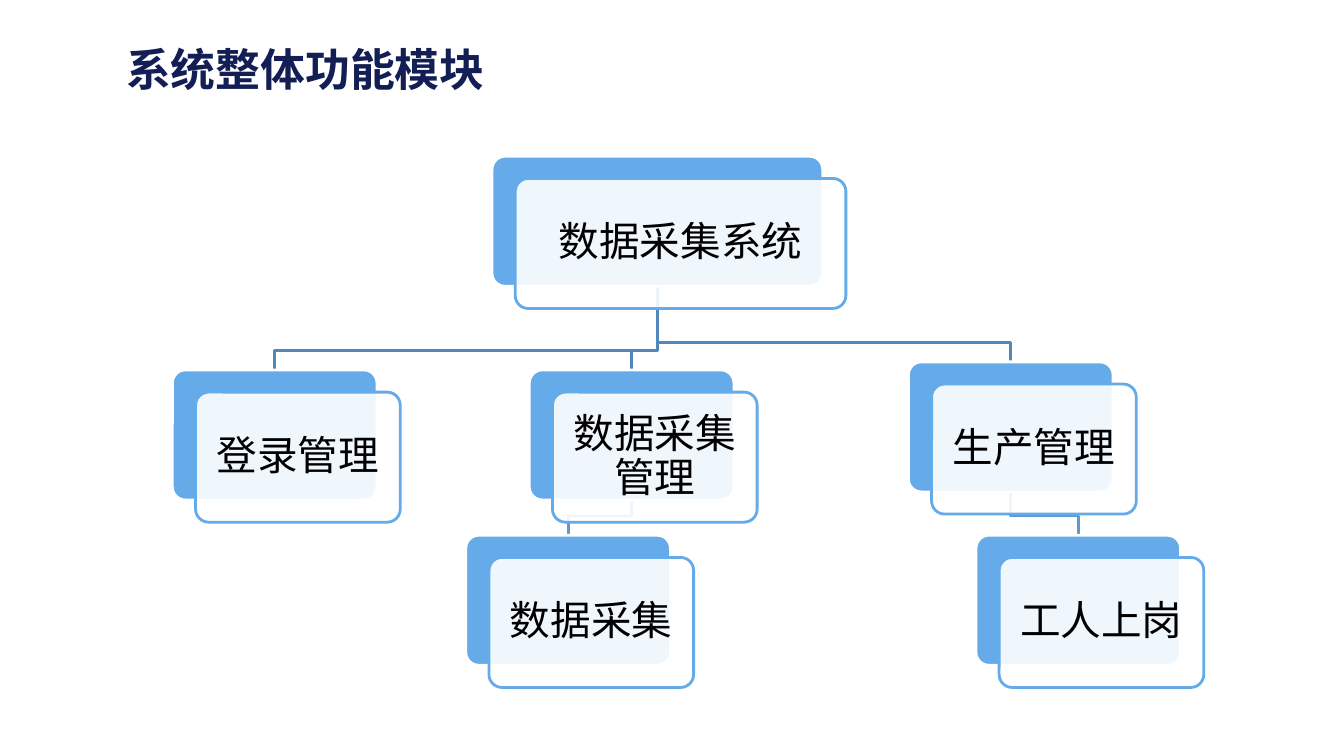
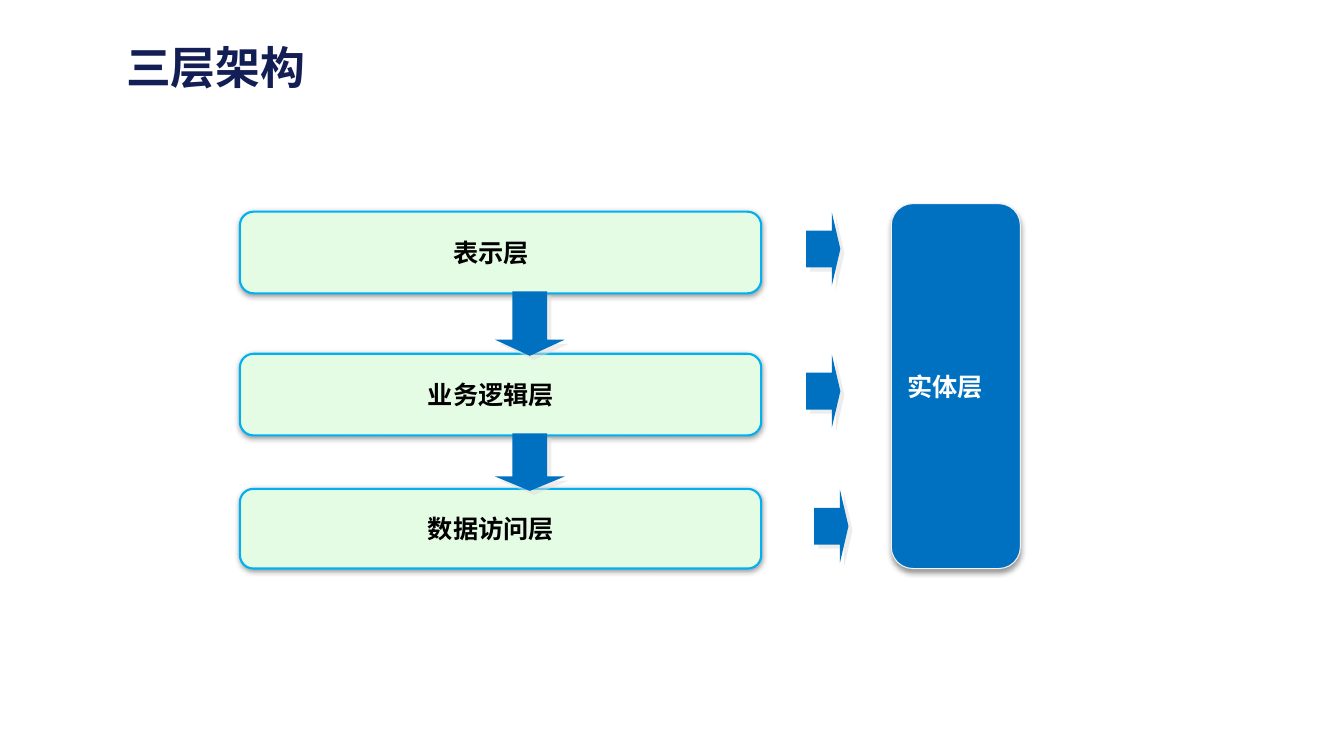
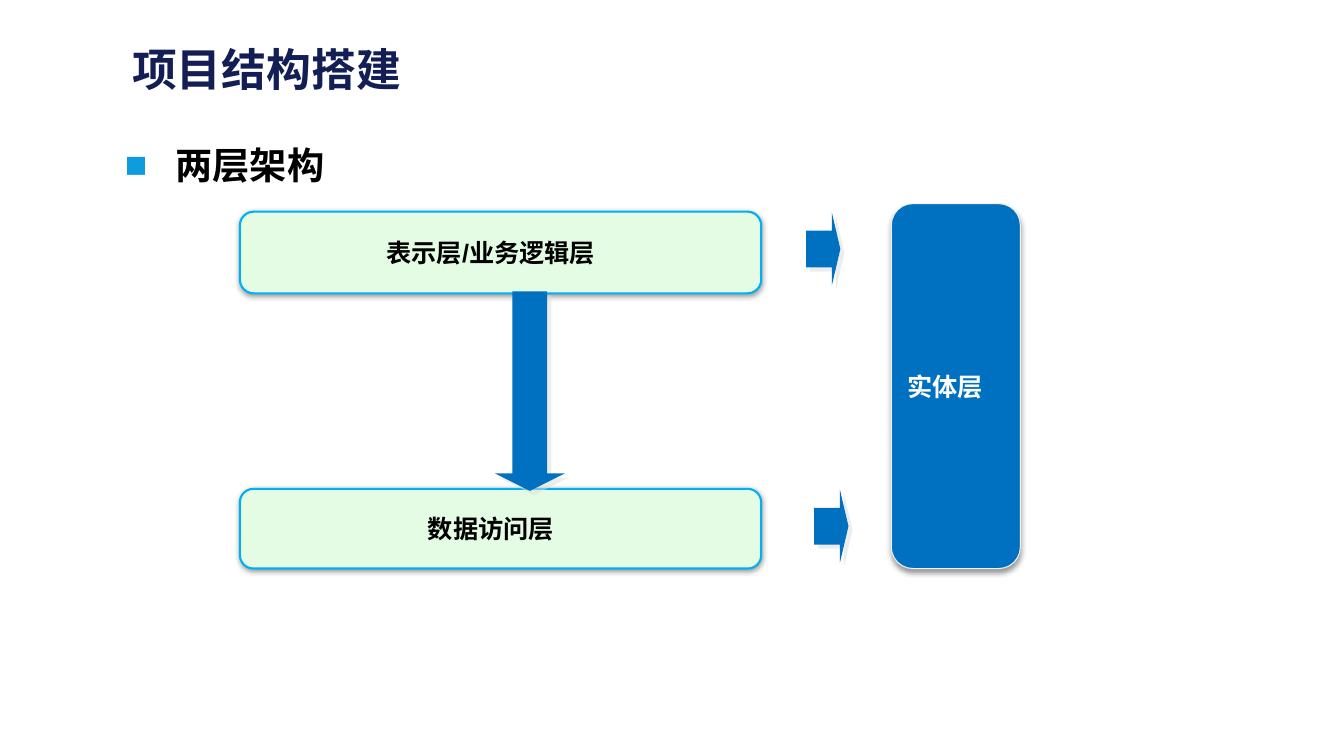
from dataclasses import dataclass
from itertools import pairwise

from lxml import etree
from pptx import Presentation
from pptx import util as u
from pptx.dml.color import RGBColor
from pptx.enum import shapes, text
from pptx.oxml import ns

I = u.Inches
SHAPE = shapes.MSO_SHAPE


@dataclass(frozen=True)
class Theme:
    # Colours
    title: str = "121E54"
    black: str = "000000"
    white: str = "FFFFFF"
    node: str = "65AAE9"
    trunk: str = "5188BB"
    branch: str = "5C9AD3"
    layer: str = "E4FCE4"
    layer_line: str = "00B0F0"
    entity: str = "0070C0"
    entity_line: str = "F2F2F2"
    bullet: str = "0E9CDE"
    arrow_shadow: str = "DDDDDD"
    # Fonts and sizes
    latin: str = "Arial"
    cjk: str = "Noto Sans CJK SC"
    title_size: float = 32
    node_size: float = 29
    body_size: float = 26.6
    layer_size: float = 18


def add_xml(parent, tag, **attrs):
    return etree.SubElement(parent, ns.qn(tag), attrs)


class Deck:
    """Holds the theme and the slide being built."""

    def __init__(self, theme):
        self.t = theme
        self.prs = Presentation()
        self.prs.slide_width, self.prs.slide_height = I(13.33), I(7.5)
        self.s = None

    def slide(self, title, x, y, w, h):
        self.s = self.prs.slides.add_slide(self.prs.slide_layouts[5])
        sp = self.s.shapes.title
        sp.left, sp.top, sp.width, sp.height = I(x), I(y), I(w), I(h)
        p = self.label(sp, title, self.t.title_size, self.t.title,
                       bold=True, font=self.t.cjk)
        p.alignment = text.PP_ALIGN.LEFT

    def label(self, sp, words, size, color, bold=False, font=None):
        tf = sp.text_frame
        tf.word_wrap = True
        tf.vertical_anchor = text.MSO_ANCHOR.MIDDLE
        p = tf.paragraphs[0]
        p.text = words
        r = p.runs[0]
        r.font.name = font or self.t.latin
        r.font.size = u.Pt(size)
        r.font.bold = bold
        r.font.color.rgb = RGBColor.from_string(color)
        add_xml(r.font._element, "a:ea", typeface=self.t.cjk)
        return p

    def hang(self, p, indent):
        pPr = p._p.get_or_add_pPr()
        pPr.set("marL", str(I(indent)))
        pPr.set("indent", str(-I(indent)))
        return pPr

    def shape(self, kind, x, y, w, h, fill, line=None, width=0, adj=None):
        sp = self.s.shapes.add_shape(kind, I(x), I(y), I(w), I(h))
        sp.shadow.inherit = False
        sp.fill.solid()
        sp.fill.fore_color.rgb = RGBColor.from_string(fill)
        if line:
            sp.line.color.rgb = RGBColor.from_string(line)
            sp.line.width = u.Pt(width)
        else:
            sp.line.fill.background()
        if adj:
            sp.adjustments[0] = adj
        return sp

    def shadow(self, sp, color, alpha, blur, dist, angle):
        effects = sp._element.spPr.find(ns.qn("a:effectLst"))
        outer = add_xml(effects, "a:outerShdw", blurRad=str(u.Pt(blur)),
                        dist=str(u.Pt(dist)), dir=str(angle * 60000),
                        algn="ctr", rotWithShape="0")
        clr = add_xml(outer, "a:srgbClr", val=color)
        add_xml(clr, "a:alpha", val=str(alpha * 1000))

    # Module tree
    def link(self, points, color):
        (x, y), *rest = [(I(a), I(b)) for a, b in points]
        builder = self.s.shapes.build_freeform(x, y)
        builder.add_line_segments(rest, close=False)
        sp = builder.convert_to_shape()
        sp.shadow.inherit = False
        sp.fill.background()
        sp.line.color.rgb = RGBColor.from_string(color)
        sp.line.width = u.Pt(2)

    def node(self, words, x, y, w, h):
        t = self.t
        self.shape(SHAPE.ROUNDED_RECTANGLE, x, y, w, h, t.node, t.white, 2, 0.1)
        card = self.shape(SHAPE.ROUNDED_RECTANGLE, x + 0.23, y + 0.22, w, h,
                          t.white, t.node, 2, 0.1)
        clr = card._element.spPr.find(ns.qn("a:solidFill"))[0]
        add_xml(clr, "a:alpha", val="90000")
        p = self.label(card, words, t.node_size, t.black)
        p.alignment = text.PP_ALIGN.CENTER
        p.line_spacing = 0.9
        p.space_after = u.Pt(10)
        tf = card.text_frame
        tf.margin_left = tf.margin_right = I(0.12)
        tf.margin_top = tf.margin_bottom = I(0.12)

    # Layer diagram
    def layer(self, words, y, h):
        t = self.t
        sp = self.shape(SHAPE.ROUNDED_RECTANGLE, 2.38, y, 5.17, h,
                        t.layer, t.layer_line, 1.5, 0.167)
        self.shadow(sp, t.black, 40, 4, 1, 90)
        p = self.label(sp, words, t.layer_size, t.black, bold=True)
        p.alignment = text.PP_ALIGN.CENTER
        sp.text_frame.margin_right = I(0.29)

    def arrow(self, x, y, w, h, rotation=0):
        sp = self.shape(SHAPE.DOWN_ARROW, x, y, w, h, self.t.entity)
        sp.adjustments[1] = 0.25
        sp.rotation = rotation
        self.shadow(sp, self.t.arrow_shadow, 50, 0, 4.2, 45)

    def entity(self, words):
        t = self.t
        sp = self.shape(SHAPE.ROUNDED_RECTANGLE, 8.84, 2.02, 1.28, 3.62,
                        t.entity, t.entity_line, 0.75, 0.167)
        self.shadow(sp, t.black, 40, 4, 3, 90)
        p = self.label(sp, words, t.layer_size, t.white, bold=True)
        p.alignment = text.PP_ALIGN.LEFT
        self.hang(p, 0.38)

    def architecture(self, layers):
        for words, y, h in layers:
            self.layer(words, y, h)
        for (_, y, h), (_, below, _) in pairwise(layers):
            top = y + h - 0.02
            self.arrow(4.91, top, 0.69, below + 0.02 - top)
        self.entity("实体层")
        for words, y, h in layers:
            x = 7.88 if words == layers[-1][0] else 7.8
            self.arrow(x, y + 0.2, 0.73, 0.34, rotation=270)

    def bullet(self, words, x, y, w, h):
        sp = self.s.shapes.add_textbox(I(x), I(y), I(w), I(h))
        p = self.label(sp, words, self.t.body_size, self.t.black, bold=True)
        sp.text_frame.vertical_anchor = text.MSO_ANCHOR.TOP
        p.line_spacing = u.Pt(34.6)
        pPr = self.hang(p, 0.5)
        add_xml(add_xml(pPr, "a:buClr"), "a:srgbClr", val=self.t.bullet)
        add_xml(pPr, "a:buFont", typeface=self.t.latin)
        add_xml(pPr, "a:buChar", char="■")


def main():
    theme = Theme()
    deck = Deck(theme)

    # Module tree: name -> label, left, top, width, parent
    deck.slide("系统整体功能模块", 1.15, 0.36, 4.57, 0.64)
    height = 1.29
    nodes = {
        "system": ("数据采集系统", 4.88, 1.55, 3.28, None),
        "login": ("登录管理", 1.71, 3.67, 2.03, "system"),
        "data": ("数据采集管理", 5.25, 3.67, 2.03, "system"),
        "collect": ("数据采集", 4.62, 5.31, 2.03, "data"),
        "production": ("生产管理", 9.01, 3.59, 2.03, "system"),
        "worker": ("工人上岗", 9.68, 5.31, 2.03, "production"),
    }
    for _, x, y, w, parent in nodes.values():
        if parent:
            _, px, py, pw, _ = nodes[parent]
            start, end, bend = px + pw / 2, x + w / 2, y - 0.19
            color = theme.trunk if parent == "system" else theme.branch
            deck.link([(start, py + height), (start, bend),
                       (end, bend), (end, y)], color)
    for words, x, y, w, _ in nodes.values():
        deck.node(words, x, y, w, height)

    # Three layers
    data_layer = ("数据访问层", 4.85, 0.79)
    deck.slide("三层架构", 1.15, 0.38, 2.13, 0.57)
    deck.architecture([("表示层", 2.1, 0.81), ("业务逻辑层", 3.51, 0.81),
                       data_layer])

    # Two layers
    deck.slide("项目结构搭建", 1.21, 0.36, 5.67, 0.64)
    deck.bullet("两层架构", 1.14, 1.33, 11.15, 5.63)
    deck.architecture([("表示层/业务逻辑层", 2.1, 0.81), data_layer])

    deck.prs.save("out.pptx")


if __name__ == "__main__":
    main()
